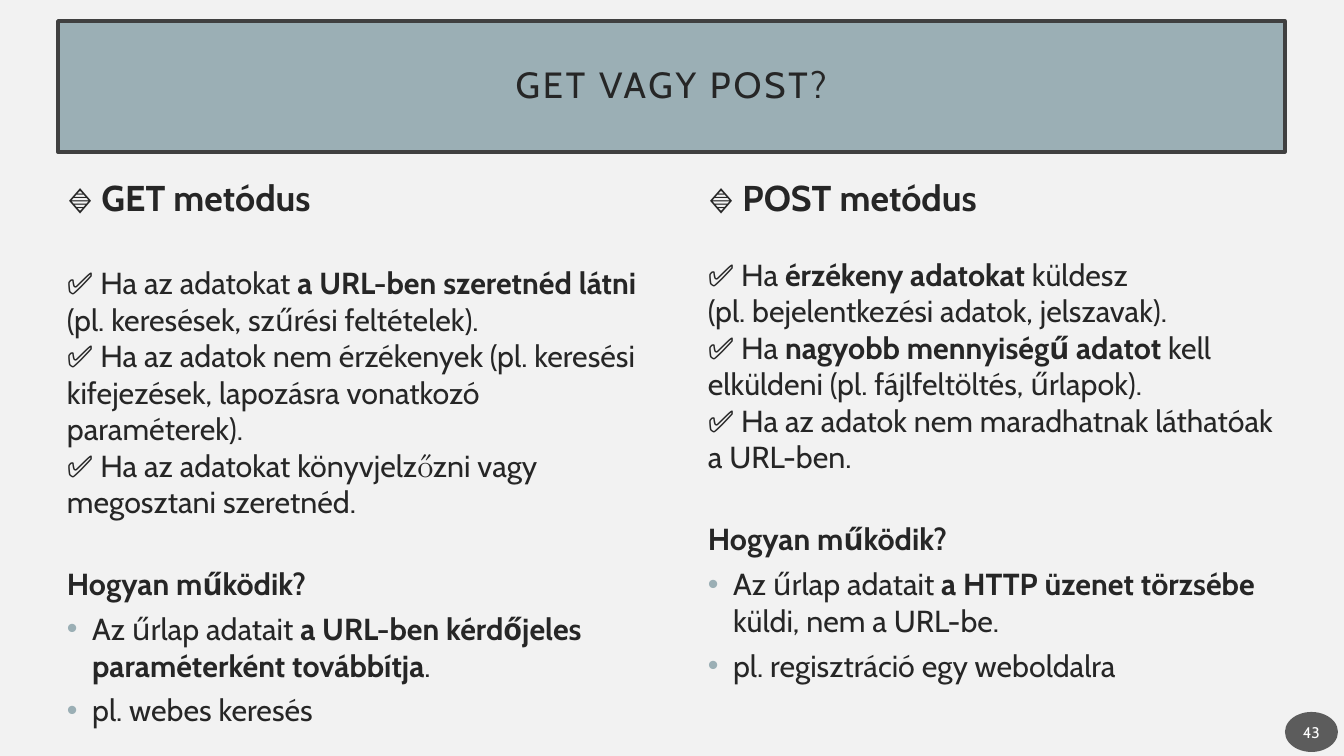
"""Build the slide that compares the GET and POST methods."""
from pptx import Presentation
from pptx.dml.color import RGBColor
from pptx.enum.shapes import MSO_SHAPE as Preset
from pptx.enum.text import MSO_ANCHOR as Anchor, PP_ALIGN as Align
from pptx.oxml.ns import qn
from pptx.util import Emu, Pt
from lxml.etree import SubElement

THEME = {
    "font": "Cabin",
    "background": RGBColor.from_string("F2F2F2"),
    "banner": RGBColor.from_string("9BAFB5"),
    "border": RGBColor.from_string("404040"),
    "ink": RGBColor.from_string("262626"),
    "badge": RGBColor.from_string("1D1D1D"),
    "white": RGBColor.from_string("FFFFFF"),
    "title": 26, "heading": 25.6, "body": 21.7, "number": 11,
}
PX = 914400 / 100.8


def px(*lengths):
    return [Emu(round(length * PX)) for length in lengths]


def write(paragraph, text, size, color=THEME["ink"]):
    """Add text run by run, with ** around bold words and a newline as a line break."""
    for part, words in enumerate(text.split("**")):
        for row, line in enumerate(words.split("\n")):
            if row:
                paragraph.add_line_break()
            if line:
                run = paragraph.add_run()
                run.text = line
                run.font.name = THEME["font"]
                run.font.size = Pt(size)
                run.font.bold = part % 2 == 1
                run.font.color.rgb = color


prs = Presentation()
prs.slide_width, prs.slide_height = px(1344, 756)
slide = prs.slides.add_slide(prs.slide_layouts[6])
slide.background.fill.solid()
slide.background.fill.fore_color.rgb = THEME["background"]

banner = slide.shapes.add_shape(Preset.RECTANGLE, *px(58, 21, 1227, 131))
banner.shadow.inherit = False
banner.fill.solid()
banner.fill.fore_color.rgb = THEME["banner"]
banner.line.color.rgb = THEME["border"]
banner.line.width = Pt(2.5)
banner.text_frame.vertical_anchor = Anchor.MIDDLE
title = banner.text_frame.paragraphs[0]
title.alignment = Align.CENTER
title.line_spacing = 0.9
write(title, "GET VAGY POST?", THEME["title"])
title.runs[0].font._element.set("spc", "200")

methods = [
    (57, 615, 32.5, "**🔹 GET metódus**",
     "✅ Ha az adatokat **a URL-ben szeretnéd látni** (pl. keresések, szűrési feltételek).\n"
     "✅ Ha az adatok nem érzékenyek (pl. keresési kifejezések, lapozásra vonatkozó paraméterek).\n"
     "✅ Ha az adatokat könyvjelzőzni vagy megosztani szeretnéd.",
     ["Az űrlap adatait **a URL-ben kérdőjeles paraméterként továbbítja**.",
      "pl. webes keresés"]),
    (698, 587, 26.5, "**🔹 POST metódus**",
     "✅ Ha **érzékeny adatokat** küldesz\n(pl. bejelentkezési adatok, jelszavak).\n"
     "✅ Ha **nagyobb mennyiségű adatot** kell elküldeni (pl. fájlfeltöltés, űrlapok).\n"
     "✅ Ha az adatok nem maradhatnak láthatóak a URL-ben.",
     ["Az űrlap adatait **a HTTP üzenet törzsébe** küldi, nem a URL-be.",
      "pl. regisztráció egy weboldalra"]),
]
for left, width, uses_gap, heading, uses, workings in methods:
    column = slide.shapes.add_textbox(*px(left, 171, width, 580)).text_frame
    column.word_wrap = True
    write(column.paragraphs[0], heading, THEME["heading"])
    for text, gap in [(uses, uses_gap), ("**Hogyan működik?**", 32.5)]:
        paragraph = column.add_paragraph()
        paragraph.space_before = Pt(gap)
        write(paragraph, text, THEME["body"])
    for working in workings:
        paragraph = column.add_paragraph()
        paragraph.space_before = Pt(6)
        props = paragraph._p.get_or_add_pPr()
        props.set("marL", "228600")
        props.set("indent", "-228600")
        bullet_color = SubElement(props, qn("a:buClr"))
        SubElement(bullet_color, qn("a:srgbClr"), val=str(THEME["banner"]))
        SubElement(props, qn("a:buFont"), typeface="Arial")
        SubElement(props, qn("a:buChar"), char="•")
        write(paragraph, working, THEME["body"])

badge = slide.shapes.add_shape(Preset.OVAL, *px(1285, 712, 53, 40))
badge.shadow.inherit = False
badge.fill.solid()
badge.fill.fore_color.rgb = THEME["badge"]
badge_color = badge._element.spPr.find(qn("a:solidFill")).find(qn("a:srgbClr"))
SubElement(badge_color, qn("a:alpha"), val="70000")
badge.line.fill.background()
badge.text_frame.margin_left, badge.text_frame.margin_right = px(2, 2)
badge.text_frame.vertical_anchor = Anchor.MIDDLE
page_number = badge.text_frame.paragraphs[0]
page_number.alignment = Align.CENTER
write(page_number, "43", THEME["number"], THEME["white"])

prs.save("out.pptx")
